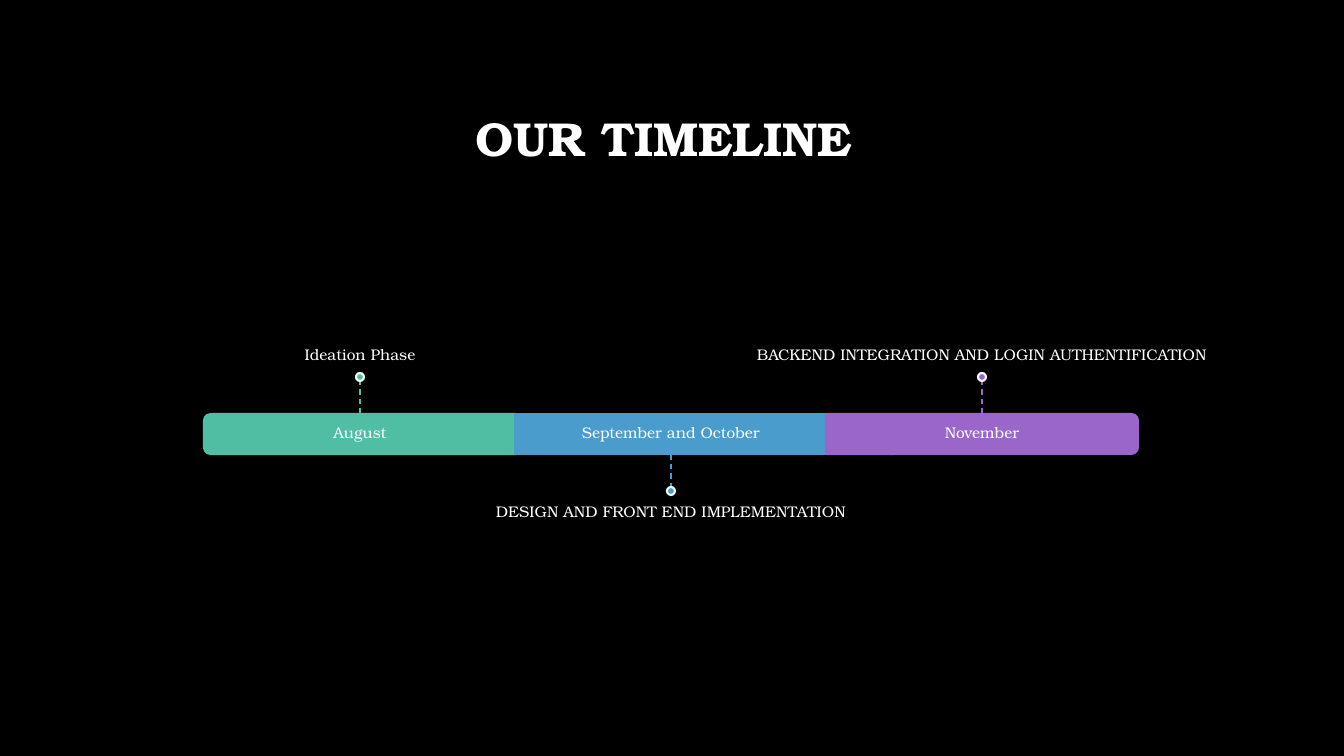
"""Build a three-stage project timeline slide."""
from lxml.etree import SubElement
from pptx import Presentation
from pptx.dml.color import RGBColor
from pptx.enum.dml import MSO_LINE
from pptx.enum.shapes import MSO_CONNECTOR, MSO_SHAPE
from pptx.enum.text import MSO_ANCHOR, PP_ALIGN
from pptx.oxml.ns import qn
from pptx.util import Emu, Pt

COLORS = {"back": "000000", "text": "FFFFFF", "green": "50BEA3",
          "blue": "4A9CCC", "purple": "9A66CA"}
FONT = "TeX Gyre Bonum"
LEFT, TOP, STEP, WIDTH, HEIGHT = 204, 414, 311, 312, 40
STEM, DOT, NOTE_W, NOTE_H = 33, 8, 518, 142
STAGES = [
    ("August", "Ideation Phase", "green", 270, True),
    ("September and October", "DESIGN AND FRONT END IMPLEMENTATION",
     "blue", 0, False),
    ("November", "BACKEND INTEGRATION AND LOGIN AUTHENTIFICATION",
     "purple", 90, True),
]


def px(*nums):
    """Turn pixel lengths into EMU."""
    return [Emu(round(num * 914400 / 100.8)) for num in nums]


def color(name):
    """Look up a colour by name."""
    return RGBColor.from_string(COLORS[name])


def style(frame, text, size, bold=False):
    """Write one centred line of text."""
    frame.word_wrap = True
    frame.text = text
    para = frame.paragraphs[0]
    para.alignment = PP_ALIGN.CENTER
    para.line_spacing = 0.9
    font = para.runs[0].font
    font.name, font.size, font.bold = FONT, Pt(size), bold
    font.color.rgb = color("text")
    return para


def add_title(slide, text):
    """Place and format the title."""
    title = slide.shapes.title
    title.left, title.top, title.width, title.height = px(101, 68, 1141, 146)
    title.text_frame.vertical_anchor = MSO_ANCHOR.MIDDLE
    style(title.text_frame, text, 34, True)


def add_text(slide, box, text, anchor, pads):
    """Add a small centred caption."""
    frame = slide.shapes.add_textbox(*px(*box)).text_frame
    (frame.margin_left, frame.margin_top,
     frame.margin_right, frame.margin_bottom) = px(*pads)
    style(frame, text, 11).space_after = Pt(4)
    frame.vertical_anchor = anchor


def add_form(slide, kind, box, fill, line):
    """Add a filled shape with an outline."""
    form = slide.shapes.add_shape(kind, *px(*box))
    form.shadow.inherit = False
    form.fill.solid()
    form.fill.fore_color.rgb = color(fill)
    form.line.color.rgb = color(line)
    form.line.width = Pt(1.5)
    return form


def add_bar(slide, mid, tint, turn):
    """Add a stage bar, turned on end when its outer side is round."""
    if not turn:
        box = (mid - WIDTH // 2, TOP, WIDTH, HEIGHT)
        return add_form(slide, MSO_SHAPE.RECTANGLE, box, tint, tint)
    box = (mid - HEIGHT // 2, TOP + (HEIGHT - WIDTH) // 2, HEIGHT, WIDTH)
    bar = add_form(slide, MSO_SHAPE.ROUND_2_SAME_RECTANGLE, box, tint, tint)
    bar.rotation = turn
    return bar


def add_stem(slide, mid, start, end, tint):
    """Add a dashed vertical line."""
    stem = slide.shapes.add_connector(
        MSO_CONNECTOR.STRAIGHT, *px(mid, start, mid, end))
    stem.line.color.rgb = color(tint)
    stem.line.width = Pt(1)
    stem.line.dash_style = MSO_LINE.DASH
    SubElement(stem._element.spPr, qn("a:effectLst"))
    return stem


def add_stage(slide, mid, month, note, tint, turn, above):
    """Add a bar with its month, stem, dot and note."""
    bar = add_bar(slide, mid, tint, turn)
    add_text(slide, (mid - WIDTH // 2, TOP, WIDTH, HEIGHT), month,
             MSO_ANCHOR.MIDDLE, (9, 9, 9, 9))
    if above:
        edge, tip = TOP, TOP - STEM
        dot, top = tip - DOT, tip - DOT - NOTE_H
        anchor, pads = MSO_ANCHOR.BOTTOM, (0, 0, 0, 9)
    else:
        edge = TOP + HEIGHT
        dot = tip = edge + STEM
        top = tip + DOT
        anchor, pads = MSO_ANCHOR.TOP, (0, 9, 0, 0)
    add_text(slide, (mid - NOTE_W // 2, top, NOTE_W, NOTE_H), note,
             anchor, pads)
    stem = add_stem(slide, mid, edge, tip, tint)
    if not turn:
        stem.begin_connect(bar, 0 if above else 2)
    add_form(slide, MSO_SHAPE.OVAL, (mid - DOT // 2, dot, DOT, DOT),
             tint, "text")


def main():
    """Build and save the slide."""
    deck = Presentation()
    deck.slide_width, deck.slide_height = px(1344, 756)
    slide = deck.slides.add_slide(deck.slide_layouts[5])
    slide.background.fill.solid()
    slide.background.fill.fore_color.rgb = color("back")
    add_title(slide, "OUR TIMELINE ")
    for num, stage in enumerate(STAGES):
        add_stage(slide, LEFT + WIDTH // 2 + num * STEP, *stage)
    deck.save("out.pptx")


if __name__ == "__main__":
    main()
